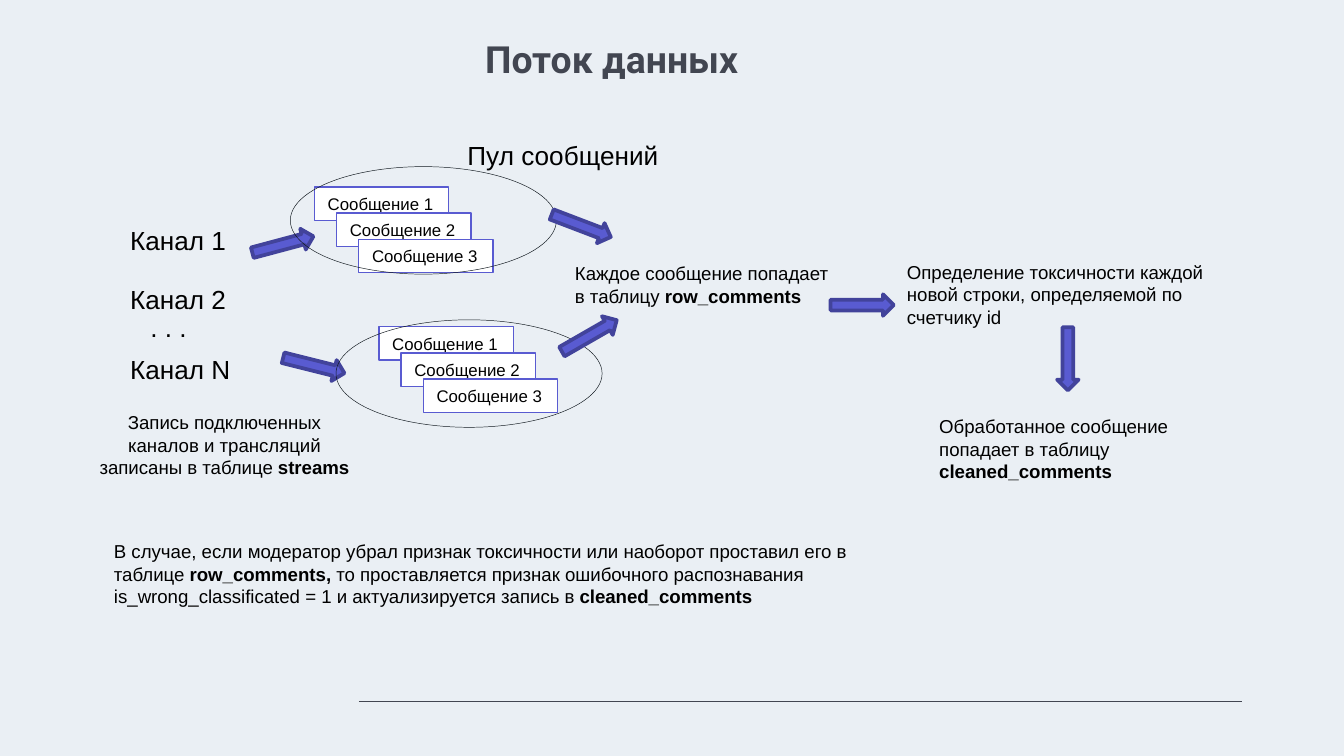
from dataclasses import dataclass

from pptx import Presentation
from pptx.dml.color import RGBColor
from pptx.enum.shapes import MSO_CONNECTOR, MSO_SHAPE
from pptx.enum.text import MSO_ANCHOR, PP_ALIGN
from pptx.oxml.ns import qn
from pptx.util import Inches, Pt

BACKGROUND = RGBColor(0xEA, 0xEF, 0xF4)
SLATE = RGBColor(0x42, 0x46, 0x51)
BLACK = RGBColor(0, 0, 0)
WHITE = RGBColor(0xFF, 0xFF, 0xFF)
VIOLET = RGBColor(0x59, 0x5B, 0xD1)
DARK_VIOLET = RGBColor(0x42, 0x43, 0x9B)
INK = RGBColor(0x10, 0x18, 0x1F)

RECTANGLE = MSO_SHAPE.RECTANGLE
RIGHT_ARROW = MSO_SHAPE.RIGHT_ARROW
ELLIPSE = MSO_SHAPE.OVAL
STRAIGHT = MSO_CONNECTOR.STRAIGHT
LEFT = PP_ALIGN.LEFT
CENTER = PP_ALIGN.CENTER
TOP = MSO_ANCHOR.TOP
MIDDLE = MSO_ANCHOR.MIDDLE

SLIDE_WIDTH = 10
SLIDE_HEIGHT = SLIDE_WIDTH * 9 / 16
CARDS_PER_POOL = 3
CARD_WIDTH, CARD_HEIGHT = 1, 0.25
CARD_STEP_X = 0.33 / (CARDS_PER_POOL - 1)
CARD_STEP_Y = 0.39 / (CARDS_PER_POOL - 1)
POOL_WIDTH, POOL_HEIGHT = 1.98, 0.8
ARROW_LENGTH, ARROW_HEIGHT = 0.47, 0.16


@dataclass(frozen=True)
class Span:
    text: str
    bold: bool = False


@dataclass(frozen=True)
class Label:
    left: float
    top: float
    width: float
    height: float
    spans: tuple[Span, ...]
    size: float = 10
    align: PP_ALIGN = LEFT


@dataclass(frozen=True)
class Arrow:
    left: float
    top: float
    rotation: float = 0


@dataclass(frozen=True)
class Pool:
    left: float
    top: float
    cards_left: float
    cards_top: float
    inflow: Arrow


CHANNELS = [
    Label(0.87, 1.62, 1, 0.34, (Span("Канал 1"),), 14),
    Label(0.87, 2.06, 1, 0.34, (Span("Канал 2"),), 14),
    Label(0.87, 2.58, 1, 0.34, (Span("Канал N"),), 14),
    Label(1.02, 2.27, 1, 0.34, (Span(". . ."),), 14),
]

POOLS = [
    Pool(2.16, 1.24, 2.34, 1.39, Arrow(1.87, 1.74, 345)),
    Pool(2.5, 2.38, 2.82, 2.43, Arrow(2.1, 2.64, 14.1)),
]

NOTES = [
    Label(3.38, 0.99, 2.13, 0.34, (Span("Пул сообщений"),), 14),
    Label(0.62, 3.01, 2.1, 0.61, (
        Span("Запись подключенных каналов и трансляций записаны в таблице "),
        Span("streams", True),
    ), align=CENTER),
    Label(4.18, 1.9, 2.1, 0.61, (
        Span("Каждое сообщение попадает в таблицу "),
        Span("row_comments", True),
    )),
    Label(6.65, 1.89, 2.73, 0.61, (
        Span("Определение токсичности каждой новой строки, определяемой по счетчику id"),
    )),
    Label(6.89, 3.04, 2.1, 0.61, (
        Span("Обработанное сообщение попадает в таблицу "),
        Span("cleaned_comments", True),
    )),
    Label(0.75, 3.97, 6.13, 0.61, (
        Span("В случае, если модератор убрал признак токсичности или наоборот "
             "проставил его в таблице "),
        Span("row_comments, ", True),
        Span("то проставляется признак ошибочного распознавания "
             "is_wrong_classificated = 1 и актуализируется запись в "),
        Span("cleaned_comments", True),
    )),
]

FLOW_ARROWS = [
    Arrow(4.09, 1.6, 20.9),
    Arrow(4.15, 2.42, 330.1),
    Arrow(6.18, 2.19),
    Arrow(7.71, 2.59, 90),
]


def add_rule(page) -> None:
    rule = page.shapes.add_connector(
        STRAIGHT, Inches(2.67), Inches(5.22), Inches(9.24), Inches(5.22))
    rule.line.color.rgb = SLATE
    rule.line.width = Pt(0.75)
    properties = rule._element.spPr
    properties.append(properties.makeelement(qn("a:effectLst"), {}))


def write(frame, spans: tuple[Span, ...], size: float, align=LEFT,
          font_name: str = "Arial", color: RGBColor = BLACK) -> None:
    frame.word_wrap = True
    para = frame.paragraphs[0]
    para.alignment = align
    para.font.size = Pt(size)
    para.font.name = font_name
    para.font.color.rgb = color
    for span in spans:
        run = para.add_run()
        run.text = span.text
        run.font.bold = span.bold


def add_title(page) -> None:
    box = page.shapes.add_textbox(Inches(3.34), Inches(0.17), Inches(3.57), Inches(0.63))
    frame = box.text_frame
    frame.margin_left = Inches(0.27)
    frame.margin_top = frame.margin_right = frame.margin_bottom = Inches(0.1)
    write(frame, (Span("Поток данных", True),), 20, font_name="Roboto", color=SLATE)


def add_label(page, label: Label) -> None:
    box = page.shapes.add_textbox(
        Inches(label.left), Inches(label.top), Inches(label.width), Inches(label.height))
    box.text_frame.vertical_anchor = TOP
    write(box.text_frame, label.spans, label.size, label.align)


def add_outlined(page, kind, left: float, top: float, width: float, height: float,
                 fill: RGBColor | None, line: RGBColor, weight: float):
    shape = page.shapes.add_shape(
        kind, Inches(left), Inches(top), Inches(width), Inches(height))
    shape.shadow.inherit = False
    if fill is None:
        shape.fill.background()
    else:
        shape.fill.solid()
        shape.fill.fore_color.rgb = fill
    shape.line.color.rgb = line
    shape.line.width = Pt(weight)
    return shape


def add_arrow(page, arrow: Arrow) -> None:
    shape = add_outlined(page, RIGHT_ARROW, arrow.left, arrow.top,
                         ARROW_LENGTH, ARROW_HEIGHT, VIOLET, DARK_VIOLET, 2)
    shape.rotation = arrow.rotation


def add_pool(page, pool: Pool) -> None:
    for index in range(CARDS_PER_POOL):
        card = add_outlined(page, RECTANGLE,
                            pool.cards_left + index * CARD_STEP_X,
                            pool.cards_top + index * CARD_STEP_Y,
                            CARD_WIDTH, CARD_HEIGHT, WHITE, VIOLET, 0.75)
        card.text_frame.vertical_anchor = MIDDLE
        write(card.text_frame, (Span(f"Сообщение {index + 1}"),), 9)
    add_arrow(page, pool.inflow)
    add_outlined(page, ELLIPSE, pool.left, pool.top,
                 POOL_WIDTH, POOL_HEIGHT, None, INK, 0.25)


def main() -> None:
    deck = Presentation()
    deck.slide_width, deck.slide_height = Inches(SLIDE_WIDTH), Inches(SLIDE_HEIGHT)
    page = deck.slides.add_slide(deck.slide_layouts[6])
    page.background.fill.solid()
    page.background.fill.fore_color.rgb = BACKGROUND
    add_rule(page)
    add_title(page)
    for channel in CHANNELS:
        add_label(page, channel)
    for pool in POOLS:
        add_pool(page, pool)
    for note in NOTES:
        add_label(page, note)
    for arrow in FLOW_ARROWS:
        add_arrow(page, arrow)
    deck.save("out.pptx")


if __name__ == "__main__":
    main()
